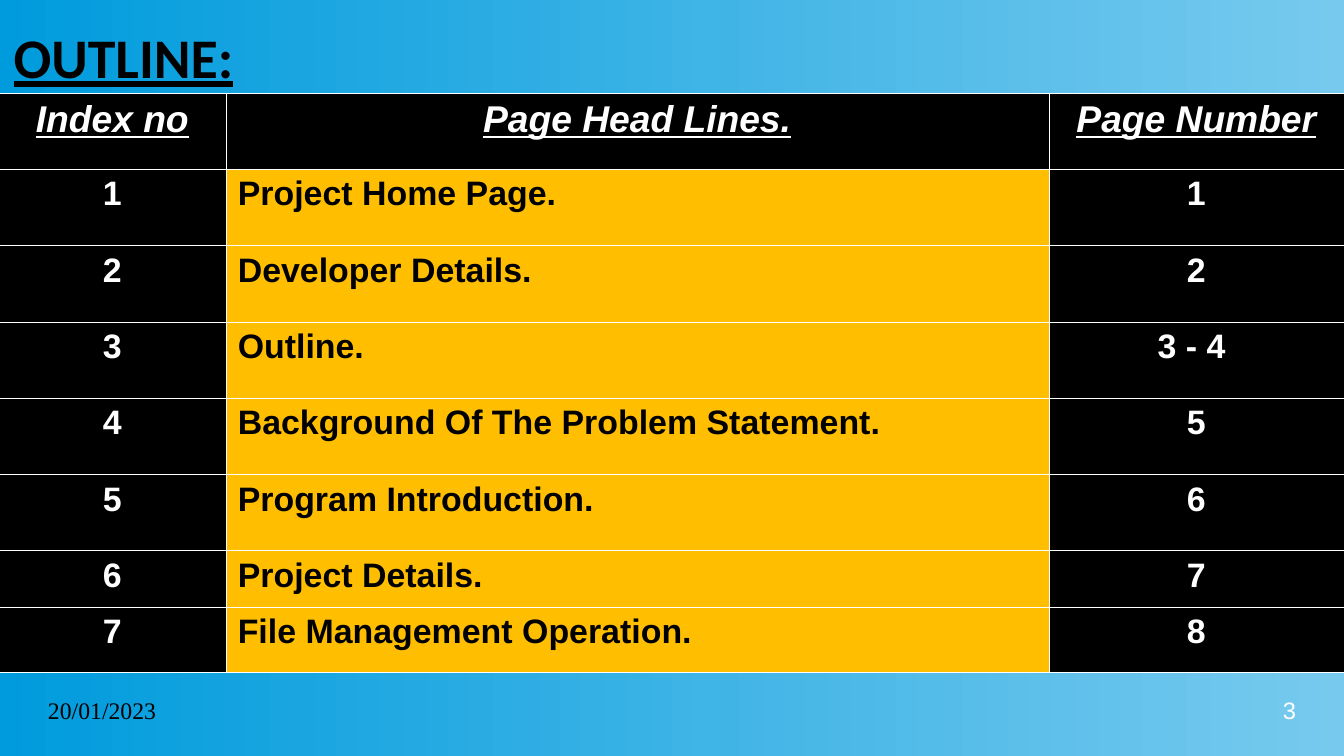
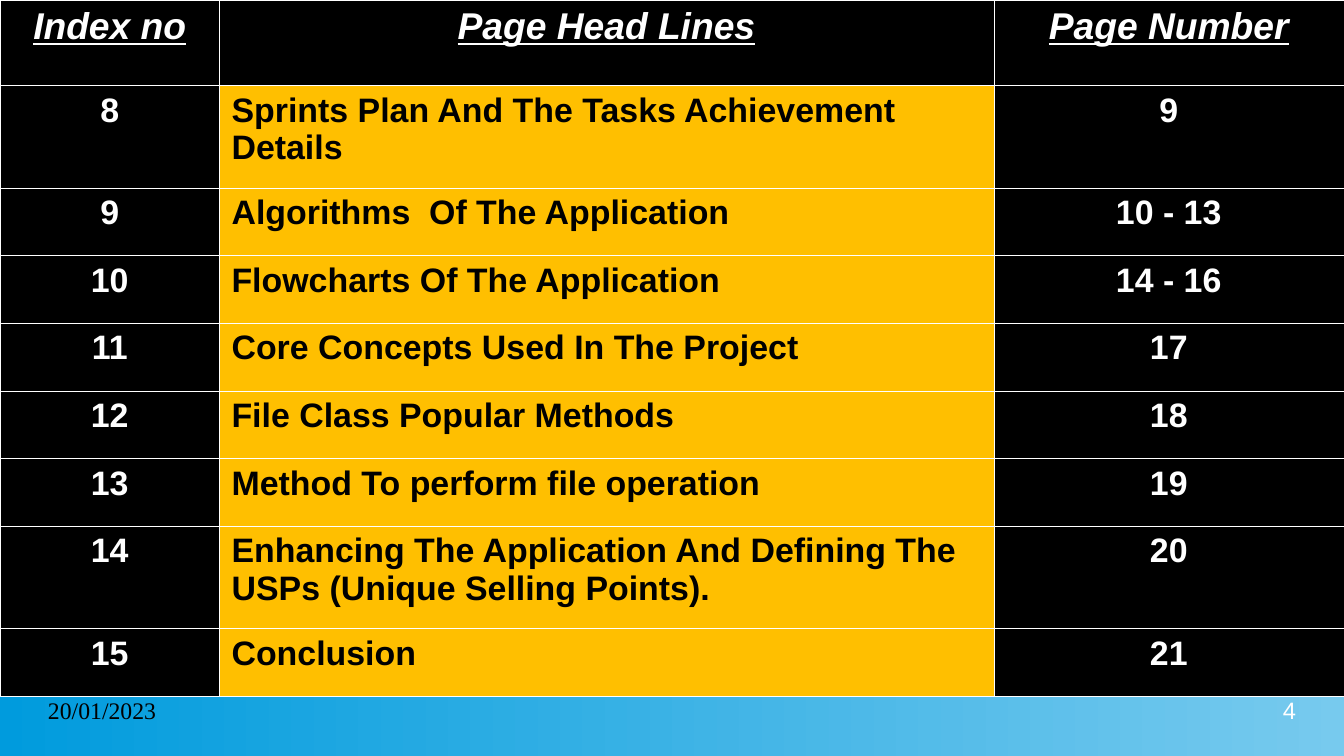
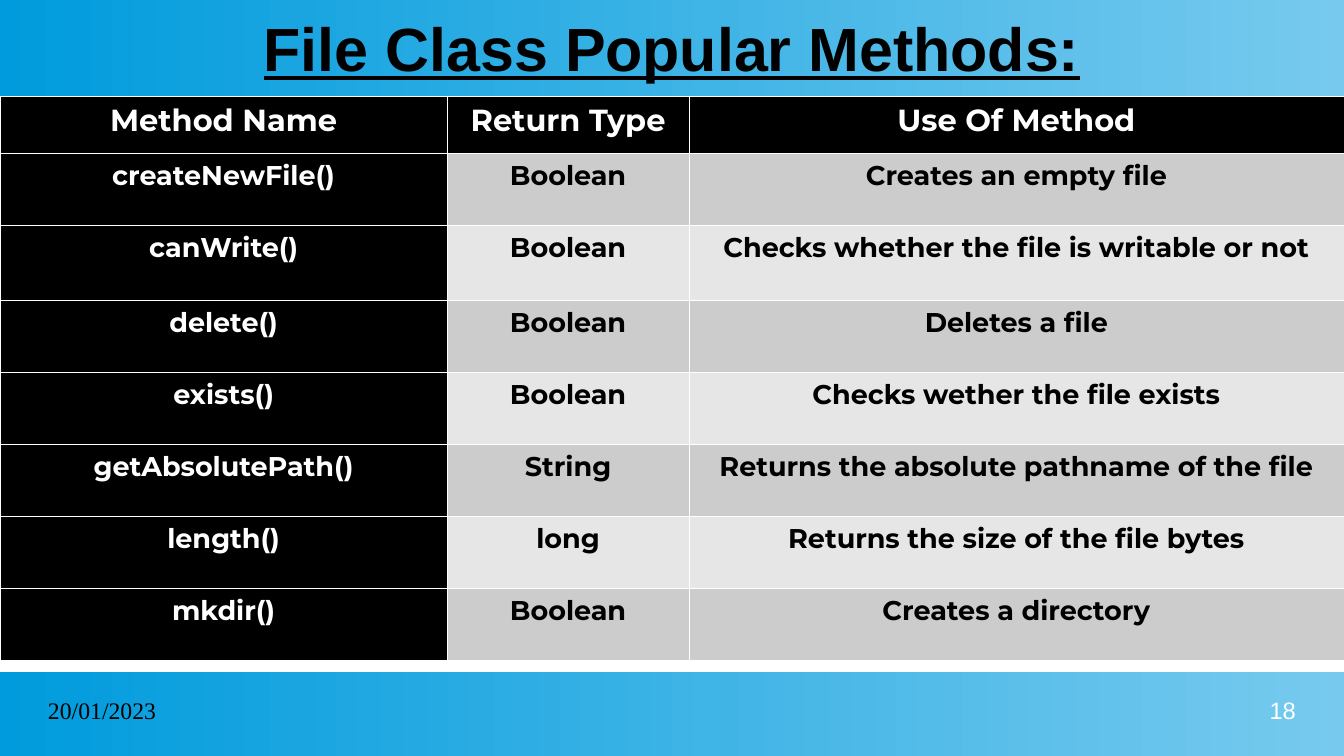
from lxml import etree
from pptx import Presentation
from pptx.dml.color import RGBColor
from pptx.enum import shapes, text
from pptx.oxml import ns
from pptx.util import Cm, Pt

BLACK = RGBColor(0x00, 0x00, 0x00)
WHITE = RGBColor(0xFF, 0xFF, 0xFF)
AMBER = RGBColor(0xFF, 0xBF, 0x00)
GREY = RGBColor(0xCC, 0xCC, 0xCC)
LIGHT_GREY = RGBColor(0xE6, 0xE6, 0xE6)
BLUE = RGBColor(0x00, 0x9B, 0xDD)
LIGHT_BLUE = RGBColor(0x77, 0xCA, 0xEE)

LEFT, CENTER, RIGHT = text.PP_ALIGN.LEFT, text.PP_ALIGN.CENTER, text.PP_ALIGN.RIGHT
WIDTH, HEIGHT = 28, 15.75
BANDS = [(0, 2), (14, 1.75)]  # top, height
TITLE_ONLY, BLANK = 5, 6
DATE = "20/01/2023"

# Looks of the two kinds of table
OUTLINE_LOOK = {
    "font": "Arial", "head": {"size": 22, "italic": True, "underline": True}, "size": 20,
    "black_columns": (0, 2), "left_columns": (1,), "stripes": (AMBER, AMBER),
}
METHOD_LOOK = {
    "font": "Montserrat", "head": {"size": 18}, "size": 16,
    "black_columns": (0,), "left_columns": (), "stripes": (GREY, LIGHT_GREY),
}

# Content, lengths in centimetres
SLIDES = [
    {
        "number": "3",
        "title": {"text": "OUTLINE:", "font": "Calibri", "size": 33, "align": LEFT,
                  "box": (0.03, 0.34, 6, 1.65)},
        "look": OUTLINE_LOOK,
        "corner": (-0.02, 1.93),
        "columns": [4.72, 17.15, 6.15],
        "heights": [1.59] * 6 + [1.17, 1.37],
        "rows": [
            ("Index no", "Page Head Lines.", "Page Number"),
            ("1", "Project Home Page.", "1"),
            ("2", "Developer Details.", "2"),
            ("3", "Outline.", "3 - 4 "),
            ("4", "Background Of The Problem Statement.", "5"),
            ("5", "Program Introduction.", "6"),
            ("6", "Project Details.", "7"),
            ("7", "File Management Operation.", "8"),
        ],
    },
    {
        "number": "4",
        "title": None,
        "look": OUTLINE_LOOK,
        "corner": (0, 0),
        "columns": [4.57, 16.13, 7.3],
        "heights": [1.78, 2.13] + [1.41] * 5 + [2.13, 1.41],
        "rows": [
            ("Index no", "Page Head Lines", "Page Number"),
            ("8", "Sprints Plan And The Tasks Achievement Details", "9"),
            ("9", "Algorithms  Of The Application", "10 - 13"),
            ("10", "Flowcharts Of The Application", "14 - 16"),
            ("11", "Core Concepts Used In The Project", "17"),
            ("12", "File Class Popular Methods", "18"),
            ("13", "Method To perform file operation", "19"),
            ("14", "Enhancing The Application And Defining The USPs (Unique Selling Points).", "20"),
            ("15", "Conclusion", "21"),
        ],
    },
    {
        "number": "18",
        "title": {"text": "File Class Popular Methods:", "font": "Arial", "size": 36,
                  "align": CENTER, "box": (0, 0, WIDTH, 1.96)},
        "look": METHOD_LOOK,
        "corner": (0, 2),
        "columns": [9.32, 5.03, 13.65],
        "heights": [1.19, 1.5, 1.56] + [1.5] * 5,
        "rows": [
            ("Method Name", "Return Type", "Use Of Method"),
            ("createNewFile()", "Boolean", "Creates an empty file"),
            ("canWrite()", "Boolean", "Checks whether the file is writable or not"),
            ("delete()", "Boolean", "Deletes a file"),
            ("exists()", "Boolean", "Checks wether the file exists"),
            ("getAbsolutePath()", "String", "Returns the absolute pathname of the file"),
            ("length()", "long", "Returns the size of the file bytes"),
            ("mkdir()", "Boolean", "Creates a directory"),
        ],
    },
]


def write(frame, words, font, size, color, align=LEFT, bold=False, italic=False, underline=False):
    paragraph = frame.paragraphs[0]
    paragraph.alignment = align
    run = paragraph.add_run()
    run.text = words
    run.font.name, run.font.size = font, Pt(size)
    run.font.bold, run.font.italic, run.font.underline = bold, italic, underline
    run.font.color.rgb = color


def add_color(parent, color):
    etree.SubElement(parent, ns.qn("a:srgbClr"), val=str(color))


def add_bands(presentation, slide):
    """Draw the blue bands and move them to the master, behind every slide."""
    for index, (top, height) in enumerate(BANDS):
        band = slide.shapes.add_shape(shapes.MSO_SHAPE.RECTANGLE, 0, Cm(top), Cm(WIDTH), Cm(height))
        band.line.fill.background()
        band.fill.gradient()
        band.fill.gradient_angle = 180
        for stop, color in zip(band.fill.gradient_stops, (LIGHT_BLUE, BLUE)):
            stop.color.rgb = color
        band.shadow.inherit = False
        effects = band.element.spPr.find(ns.qn("a:effectLst"))
        add_color(etree.SubElement(effects, ns.qn("a:outerShdw"), dist=str(Pt(0.9)), dir="5400000"), BLUE)
        band.element.nvSpPr.cNvPr.set("id", str(100 + index))
        presentation.slide_master.shapes.element.insert(2 + index, band.element)


def add_title(slide, title):
    shape = slide.shapes.title
    shape.left, shape.top, shape.width, shape.height = map(Cm, title["box"])
    frame = shape.text_frame
    frame.auto_size = text.MSO_AUTO_SIZE.NONE
    frame.vertical_anchor = text.MSO_ANCHOR.MIDDLE
    write(frame, title["text"], title["font"], title["size"], BLACK, title["align"],
          bold=True, underline=True)


def add_footer(slide, left, words, font, color, align):
    frame = slide.shapes.add_textbox(Cm(left), Cm(14.5), Cm(6.5), Cm(1)).text_frame
    frame.word_wrap = True
    frame.margin_left = frame.margin_right = frame.margin_top = frame.margin_bottom = 0
    write(frame, words, font, 14, color, align)


def add_borders(cell):
    properties = cell._tc.get_or_add_tcPr()
    for side in ("lnL", "lnR", "lnT", "lnB"):
        line = etree.SubElement(properties, ns.qn("a:" + side), w=str(Pt(0.06)))
        add_color(etree.SubElement(line, ns.qn("a:solidFill")), WHITE)


def add_table(slide, content):
    look, rows = content["look"], content["rows"]
    columns, heights = content["columns"], content["heights"]
    left, top = content["corner"]
    table = slide.shapes.add_table(len(rows), len(columns), Cm(left), Cm(top),
                                   Cm(sum(columns)), Cm(sum(heights))).table
    table.first_row = table.horz_banding = False
    for column, width in zip(table.columns, columns):
        column.width = Cm(width)
    for r, (row, height) in enumerate(zip(rows, heights)):
        table.rows[r].height = Cm(height)
        for c, words in enumerate(row):
            cell = table.cell(r, c)
            black = r == 0 or c in look["black_columns"]
            align = LEFT if r and c in look["left_columns"] else CENTER
            style = {"size": look["size"]} if r else look["head"]
            add_borders(cell)
            cell.fill.solid()
            cell.fill.fore_color.rgb = BLACK if black else look["stripes"][(r - 1) % 2]
            write(cell.text_frame, words, look["font"], color=WHITE if black else BLACK,
                  align=align, bold=True, **style)


def main():
    presentation = Presentation()
    presentation.slide_width, presentation.slide_height = Cm(WIDTH), Cm(HEIGHT)
    for index, content in enumerate(SLIDES):
        title = content["title"]
        layout = presentation.slide_layouts[TITLE_ONLY if title else BLANK]
        slide = presentation.slides.add_slide(layout)
        if index == 0:
            add_bands(presentation, slide)
        if title:
            add_title(slide, title)
        add_table(slide, content)
        add_footer(slide, 20.5, content["number"], "Arial", WHITE, RIGHT)
        add_footer(slide, 1, DATE, "Times New Roman", BLACK, LEFT)
    presentation.save("out.pptx")


if __name__ == "__main__":
    main()
